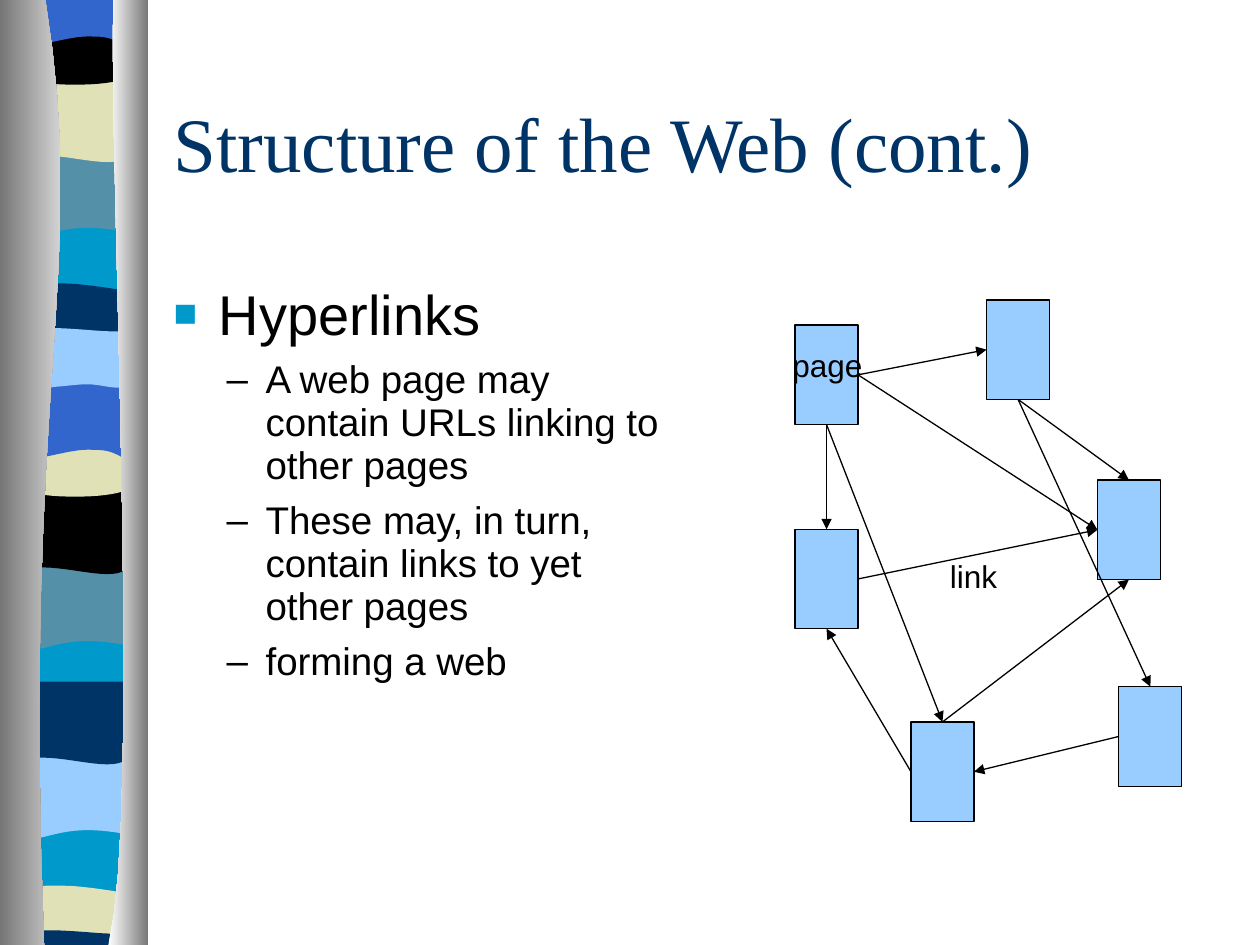
from lxml import etree
from pptx import Presentation
from pptx.dml.color import RGBColor
from pptx.enum.shapes import MSO_CONNECTOR, MSO_SHAPE
from pptx.enum.text import MSO_ANCHOR
from pptx.oxml.ns import qn
from pptx.util import Inches, Pt

RECT = MSO_SHAPE.RECTANGLE
LINE = MSO_CONNECTOR.STRAIGHT
MIDDLE = MSO_ANCHOR.MIDDLE
TOP, LEFT, BOTTOM, RIGHT = range(4)

BLACK = RGBColor(0x00, 0x00, 0x00)
NAVY = RGBColor(0x00, 0x33, 0x66)
BLUE = RGBColor(0x33, 0x66, 0xCC)
CYAN = RGBColor(0x00, 0x99, 0xCC)
TEAL = RGBColor(0x54, 0x90, 0xA8)
SKY = RGBColor(0x99, 0xCC, 0xFF)
SAND = RGBColor(0xE1, 0xE1, 0xB7)
GREY = RGBColor(0x76, 0x76, 0x76)
PALE = RGBColor(0xD3, 0xD3, 0xD3)
WHITE = RGBColor(0xFF, 0xFF, 0xFF)

HEAD = {"name": "Times New Roman", "size": Pt(44)}
MAIN = {"name": "Arial", "size": Pt(32)}
SUB = {"name": "Arial", "size": Pt(22)}
TAG = {"name": "Arial", "size": Pt(18)}

SWELL = [(0.81, 0), (0.81, 0.62), (0.25, 0.51, 0.14, 0.73, 0, 0.62), (0, 0)]
DIP = [(0.81, 0), (0.81, 0.62), (0.67, 0.73, 0.25, 0.55, 0, 0.62), (0, 0)]
BOWL = [(0.81, 0), (0.81, 0.43), (0.67, 0.5, 0.14, 0.5, 0, 0.43), (0, 0),
        (0.5, 0.06, 0.64, 0, 0.81, 0)]
ARCH = [(0.81, 0), (0.81, 0.63), (0.69, 0.55, 0.63, 0.55, 0.5, 0.55),
        (0.36, 0.55, 0.12, 0.63, 0, 0.63), (0, 0)]
LENS = [(0.81, 0.07), (0.81, 0.39), (0.68, 0.44, 0.14, 0.44, 0, 0.39), (0, 0.07),
        (0.05, 0, 0.18, 0.01, 0.31, 0.01), (0.45, 0.01, 0.71, 0.05, 0.81, 0.07)]
FLAG = [(0.81, 0.06), (0.81, 0.48), (0.76, 0.54, 0.63, 0.48, 0.5, 0.48),
        (0.36, 0.48, 0.08, 0.54, 0, 0.48), (0, 0.06), (0.12, 0, 0.55, 0.06, 0.69, 0.06)]
BANDS = [
    (SWELL, 1.22, TEAL), (DIP, 0.63, SAND), (BOWL, 0.19, BLACK), (ARCH, -0.26, BLUE),
    (SWELL, 4.5, TEAL), (DIP, 3.9, BLACK), (LENS, 2.24, NAVY), (BOWL, 3.46, SAND),
    (ARCH, 3.02, BLUE), (FLAG, 2.57, SKY), (SWELL, 6, SKY), (DIP, 5.41, NAVY),
    (LENS, 7.02, SAND), (FLAG, 7.35, NAVY),
]
DRAPES = [
    ([(0.36, 0), (0.71, 2.17, 0.17, 2.97, 0.35, 7.5), (0, 7.5), (0, 0)], GREY, PALE),
    ([(0.9, 0), (0.86, 1.25, 1.13, 6.46, 0.86, 7.5), (1.18, 7.5), (1.18, 0)], WHITE, GREY),
]

POINTS = [("■", CYAN, 70, 0.36, -0.36, 0, 1, MAIN, "Hyperlinks")] + [
    ("–", BLACK, 100, 0.73, -0.31, 7, 0.93, SUB, text) for text in (
        "A web page may contain URLs linking to other pages",
        "These may, in turn, contain links to yet other pages",
        "forming a web")]

PAGES = {"start": (0, 0.2), "base": (0.92, 3.35), "end": (2.57, 3.07),
         "east": (2.4, 1.43), "west": (0, 1.82), "north": (1.52, 0)}
LINKS = [
    ("start", RIGHT, "north", LEFT), ("start", BOTTOM, "west", TOP),
    ("start", RIGHT, "east", LEFT), ("start", BOTTOM, "base", TOP),
    ("north", BOTTOM, "east", TOP), ("north", BOTTOM, "end", TOP),
    ("end", LEFT, "base", RIGHT), ("base", TOP, "east", BOTTOM),
    ("west", RIGHT, "east", LEFT), ("base", LEFT, "west", BOTTOM),
]
TAGS = [("page", -0.12, 0.34, 0.9), ("link", 1.13, 2.02, 0.75)]


def style(item, values):
    """Set each named value on an item."""
    for name, value in values.items():
        setattr(item, name, value)


def paint(shape, color):
    """Give a shape a flat fill with no line or shadow."""
    shape.fill.solid()
    shape.fill.fore_color.rgb = color
    shape.line.fill.background()
    shape.shadow.inherit = False


def trace(parts, steps=16):
    """Turn corners and cubic curves into a list of points."""
    dots = [parts[0]]
    for part in parts[1:]:
        if len(part) == 2:
            dots.append(part)
            continue
        ends = [dots[-1], part[:2], part[2:4], part[4:]]
        for step in range(1, steps + 1):
            t = step / steps
            rates = ((1 - t) ** 3, 3 * t * (1 - t) ** 2, 3 * t * t * (1 - t), t ** 3)
            dots.append(tuple(sum(r * e[axis] for r, e in zip(rates, ends))
                              for axis in (0, 1)))
    return dots


def draw(slide, parts, left, top, height):
    """Draw a closed outline kept between the slide's top and foot."""
    dots = [(Inches(left + x), Inches(min(max(top + y, 0), height)))
            for x, y in trace(parts)]
    pen = slide.shapes.build_freeform(*dots[0], scale=1.0)
    pen.add_line_segments(dots[1:], close=True)
    return pen.convert_to_shape()


def add_strip(slide, left, top, width, height):
    """Draw the waved bands between two shaded drapes."""
    inset = 0.19
    base = slide.shapes.add_shape(RECT, Inches(left + inset), Inches(top),
                                  Inches(width - 2 * inset), Inches(height))
    paint(base, CYAN)
    for parts, drop, color in BANDS:
        paint(draw(slide, parts, left + inset, top + drop, height), color)
    for parts, first, last in DRAPES:
        drape = draw(slide, parts, left, top, height)
        paint(drape, first)
        drape.fill.gradient()
        drape.fill.gradient_angle = 0
        for stop, color in zip(drape.fill.gradient_stops, (first, last)):
            stop.color.rgb = color


def add_text(slide, left, top, width, height):
    """Add a text box and return its frame."""
    box = slide.shapes.add_textbox(Inches(left), Inches(top), Inches(width), Inches(height))
    box.text_frame.word_wrap = True
    return box.text_frame


def write(para, text, face, color):
    """Put styled text in a paragraph."""
    run = para.add_run()
    run.text = text
    style(run.font, face)
    run.font.color.rgb = color


def add_title(slide, left, top, width, height):
    """Write the slide title."""
    frame = add_text(slide, left, top, width, height)
    frame.vertical_anchor = MIDDLE
    write(frame.paragraphs[0], "Structure of the Web (cont.)", HEAD, NAVY)


def add_mark(para, mark, color, size, margin, indent):
    """Give a paragraph its bullet and hanging indent."""
    props = para._p.get_or_add_pPr()
    props.set("marL", str(Inches(margin)))
    props.set("indent", str(Inches(indent)))
    tint = etree.SubElement(props, qn("a:buClr"))
    etree.SubElement(tint, qn("a:srgbClr"), val=str(color))
    etree.SubElement(props, qn("a:buSzPct"), val=str(size * 1000))
    etree.SubElement(props, qn("a:buFont"), typeface="Arial")
    etree.SubElement(props, qn("a:buChar"), char=mark)


def add_body(slide, left, top, width, height):
    """Write the bullet list."""
    frame = add_text(slide, left, top, width, height)
    for row, (mark, color, size, margin, indent, gap, lead, face, text) in enumerate(POINTS):
        para = frame.add_paragraph() if row else frame.paragraphs[0]
        add_mark(para, mark, color, size, margin, indent)
        style(para, {"space_before": Pt(gap), "line_spacing": lead})
        write(para, text, face, BLACK)


def add_link(slide, start, side, goal, port):
    """Join two pages with an arrow."""
    link = slide.shapes.add_connector(LINE, 0, 0, 0, 0)
    link.begin_connect(start, side)
    link.end_connect(goal, port)
    link.line.color.rgb = BLACK
    link.line.width = Pt(0.75)
    etree.SubElement(link.line._get_or_add_ln(), qn("a:tailEnd"), type="triangle")
    etree.SubElement(link._element.spPr, qn("a:effectLst"))


def add_web(slide, left, top):
    """Draw the linked pages and their labels."""
    pages = {}
    for name, (x, y) in PAGES.items():
        page = slide.shapes.add_shape(RECT, Inches(left + x), Inches(top + y),
                                      Inches(0.5), Inches(0.79))
        paint(page, SKY)
        page.line.color.rgb = BLACK
        page.line.width = Pt(0.75)
        pages[name] = page
    for start, side, goal, port in LINKS:
        add_link(slide, pages[start], side, pages[goal], port)
    for text, x, y, width in TAGS:
        para = add_text(slide, left + x, top + y, width, 0.38).paragraphs[0]
        para.line_spacing = 0.93
        write(para, text, TAG, BLACK)


def main():
    """Build and save the slide."""
    deck = Presentation()
    style(deck, {"slide_width": Inches(10), "slide_height": Inches(7.5)})
    slide = deck.slides.add_slide(deck.slide_layouts[6])
    add_strip(slide, 0, 0, 1.19, 7.5)
    add_title(slide, 1.28, 0.45, 8.49, 1.35)
    add_body(slide, 1.28, 2.17, 4.14, 4.83)
    add_web(slide, 6.31, 2.38)
    deck.save("out.pptx")


if __name__ == "__main__":
    main()
